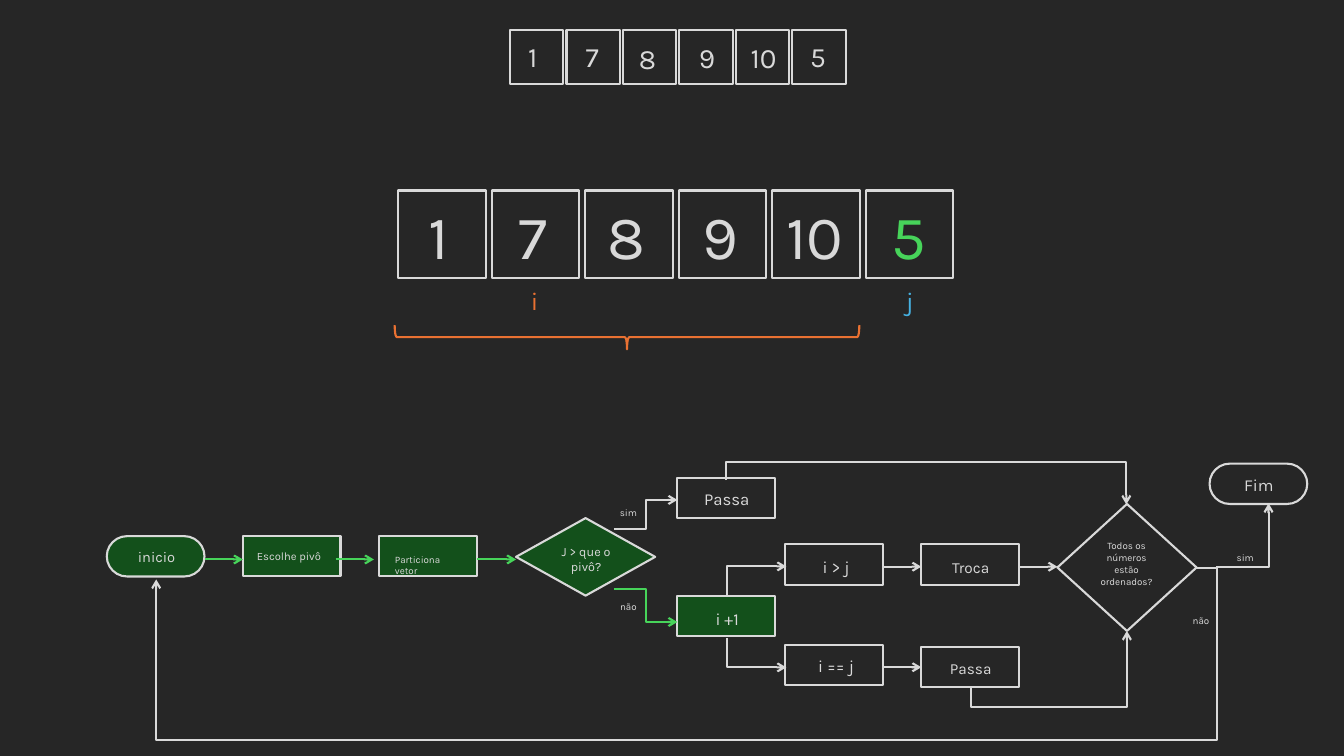
from dataclasses import dataclass

from lxml.etree import SubElement
from pptx import Presentation
from pptx.dml.color import RGBColor
from pptx.enum.shapes import MSO_CONNECTOR, MSO_SHAPE
from pptx.enum.text import MSO_AUTO_SIZE, PP_ALIGN
from pptx.oxml.ns import qn
from pptx.util import Pt


@dataclass(frozen=True)
class Theme:
    """Colours, font and sizes of the slide."""
    font: str = "Karla"
    background: RGBColor = RGBColor(0x26, 0x26, 0x26)
    light: RGBColor = RGBColor(0xD9, 0xD9, 0xD9)
    active: RGBColor = RGBColor(0x47, 0xD4, 0x5A)
    active_fill: RGBColor = RGBColor(0x13, 0x50, 0x1B)
    orange: RGBColor = RGBColor(0xE9, 0x71, 0x32)
    blue: RGBColor = RGBColor(0x46, 0xB1, 0xE1)
    line: float = 1.5
    large: float = 44
    medium: float = 20
    pointer: float = 18
    step: float = 12
    step_small: float = 11
    start: float = 10.5
    question: float = 9
    note: float = 8
    tiny: float = 7


def apply_format(target, values):
    """Set every attribute in values on target."""
    for name, value in values.items():
        setattr(target, name, value)


class Diagram:
    """Draws the elements of one slide in one theme."""

    def __init__(self, slide, theme):
        """Keep the slide and theme, and colour the background."""
        self.slide, self.theme = slide, theme
        slide.background.fill.solid()
        slide.background.fill.fore_color.rgb = theme.background

    def stroke(self, shape, color):
        """Give a shape or connector its line."""
        shape.line.color.rgb = color or self.theme.light
        shape.line.width = Pt(self.theme.line)

    def shape(self, kind, frame, fill=None, color=None, shapes=None, **values):
        """Add an outlined preset shape."""
        shape = (shapes or self.slide.shapes).add_shape(kind, *map(Pt, frame))
        shape.shadow.inherit = False
        if fill is None:
            shape.fill.background()
        else:
            shape.fill.solid()
            shape.fill.fore_color.rgb = fill
        self.stroke(shape, color)
        apply_format(shape, values)
        return shape

    def pill(self, frame, fill=None):
        """Add a fully rounded terminal."""
        self.shape(MSO_SHAPE.ROUNDED_RECTANGLE, frame, fill).adjustments[0] = 0.5

    def cells(self, count, left, top, side, pitch):
        """Add a grouped row of square array cells."""
        group = self.slide.shapes.add_group_shape()
        for index in range(count):
            frame = (left + index * pitch, top, side, side)
            self.shape(MSO_SHAPE.RECTANGLE, frame, shapes=group.shapes)

    def text(self, words, frame, size, color=None, align=PP_ALIGN.CENTER):
        """Add a text box of one paragraph."""
        box = self.slide.shapes.add_textbox(*map(Pt, frame))
        apply_format(box.text_frame, {
            "word_wrap": True, "auto_size": MSO_AUTO_SIZE.SHAPE_TO_FIT_TEXT})
        paragraph = box.text_frame.paragraphs[0]
        paragraph.alignment = align
        run = paragraph.add_run()
        run.text = words
        apply_format(run.font, {"name": self.theme.font, "size": Pt(size)})
        run.font.color.rgb = color or self.theme.light

    def arrow(self, begin, end, color=None, kind=MSO_CONNECTOR.STRAIGHT):
        """Add a connector with an arrowhead at its end."""
        connector = self.slide.shapes.add_connector(kind, *map(Pt, begin + end))
        self.stroke(connector, color)
        SubElement(connector.line._get_or_add_ln(), qn("a:tailEnd"), type="arrow")
        SubElement(connector.element.spPr, qn("a:effectLst"))
        return connector

    def elbow(self, frame, flip="", turn=0, bends=3, adjust=(), color=None):
        """Add a bent arrow inside a frame that is flipped, then turned."""
        left, top, width, height = frame
        begin, end = [left, top], [left + width, top + height]
        for axis, letter in enumerate("hv"):
            if letter in flip:
                begin[axis], end[axis] = end[axis], begin[axis]
        connector = self.arrow(begin, end, color, MSO_CONNECTOR.ELBOW)
        properties = connector.element.spPr
        properties.find(qn("a:xfrm")).set("rot", str(turn * 60000))
        geometry = properties.find(qn("a:prstGeom"))
        geometry.set("prst", f"bentConnector{bends}")
        guides = geometry.find(qn("a:avLst"))
        for number, share in enumerate(adjust, 1):
            SubElement(guides, qn("a:gd"), name=f"adj{number}",
                       fmla=f"val {round(share * 100000)}")


def draw_arrays(diagram):
    """Draw both arrays with the pointers and the brace."""
    theme = diagram.theme
    numbers = ["1", "7", "8", "9", "10", "5"]
    diagram.cells(len(numbers), 284.4, 136.1, 62.6, 66.8)
    diagram.cells(len(numbers), 364.3, 21.6, 38.2, 40.35)
    small_places = [(362.2, 24.5), (404.6, 24.5), (444.2, 25.9),
                    (486.7, 25.2), (527, 25.2), (565.9, 24.5)]
    for index, (number, place) in enumerate(zip(numbers, small_places)):
        color = theme.active if number == "5" else theme.light
        diagram.text(number, (282.2 + index * 67.1, 137.5, 62.6, 60.5),
                     theme.large, color)
        diagram.text(number, (*place, 36.7, 31.7), theme.medium)
    for name, left, color in [("i", 360.7, theme.orange), ("j", 628.6, theme.blue)]:
        diagram.text(name, (left, 200.2, 42.5, 28.8), theme.pointer, color)
    diagram.shape(MSO_SHAPE.RIGHT_BRACE, (439.2, 74.9, 17.3, 331.9),
                  color=theme.orange, rotation=90)


def draw_nodes(diagram):
    """Draw the flowchart nodes."""
    green = diagram.theme.active_fill
    step = (69.8, 28.8)
    for left, top, fill in [
            (173.5, 383, green), (270.7, 383, green), (483.8, 341.3, None),
            (483.8, 425.5, green), (560.9, 388.8, None), (560.9, 460.8, None),
            (658.1, 388.8, None), (658.1, 462.2, None)]:
        diagram.shape(MSO_SHAPE.RECTANGLE, (left, top, *step), fill)
    diagram.shape(MSO_SHAPE.DIAMOND, (368.6, 370.1, 99.4, 55.4), green)
    diagram.shape(MSO_SHAPE.DIAMOND, (755.3, 360, 99.4, 90.7))
    diagram.pill((76.3, 383, *step), green)
    diagram.pill((864, 331.2, *step))


def draw_arrows(diagram):
    """Draw the straight and bent arrows of the flowchart."""
    green = diagram.theme.active
    for left, right, height, color in [
            (146.2, 173.5, 399.6, green), (239.8, 267.1, 399.6, green),
            (340.6, 368.6, 399.6, green), (631.4, 658.1, 404.8, None),
            (728.6, 755.3, 404.8, None), (631.4, 658.1, 476.6, None)]:
        diagram.arrow((left, height), (right, height), color)
    diagram.elbow((438.5, 357.1, 45.4, 20.9), "v")
    diagram.elbow((438.5, 420.5, 45.4, 23.8), color=green)
    diagram.elbow((529.9, 393.8, 20.9, 42.5), "hv", 90, bends=2)
    diagram.elbow((529.9, 445, 20.9, 42.5), "h", 270, bends=2)
    diagram.elbow((653, 208.8, 17.3, 285.8), "h", 270, adjust=[-0.76])
    diagram.elbow((728.6, 415.4, 41, 111.6), "hv", 90, adjust=[-0.33])
    diagram.elbow((111.6, 405.4, 743, 8.47), "h", bends=4, adjust=[-0.02, 14.54])
    diagram.elbow((864.7, 363.6, 45.4, 37.4), "hv", 90, adjust=[0])


def draw_labels(diagram):
    """Write the words of the flowchart."""
    theme = diagram.theme
    for words, frame, size in [
            ("inicio", (91.4, 387.4, 41.8, 20.9), theme.start),
            ("Escolhe pivô", (176.4, 388.8, 63.4, 17.3), theme.note),
            ("Particiona vetor", (275, 391.7, 63.4, 15.8), theme.tiny)]:
        diagram.text(words, frame, size, align=PP_ALIGN.LEFT)
    for words, frame, size in [
            ("J > que o pivô?", (390.2, 385.2, 56.9, 28.8), theme.question),
            ("Passa", (493.9, 345.6, 50.4, 21.6), theme.step),
            ("i +1", (491, 431.3, 56.9, 21.6), theme.step),
            ("i > j", (568.8, 393.8, 56.9, 21.6), theme.step),
            ("i == j", (568.8, 465.1, 56.9, 21.6), theme.step),
            ("Troca", (668.2, 395.3, 50.4, 20.9), theme.step_small),
            ("Passa", (668.2, 467.3, 50.4, 20.9), theme.step_small),
            ("Todos os números estão ordenados?", (776.2, 382.3, 56.9, 41), theme.tiny),
            ("Fim", (874.1, 335.5, 50.4, 21.6), theme.step)]:
        diagram.text(words, frame, size)
    for words, left, top in [("sim", 432, 358.6), ("sim", 872.6, 390.2),
                             ("não", 432, 425.5), ("não", 841, 435.6)]:
        diagram.text(words, (left, top, 33.8, 15.8), theme.tiny)


def main():
    """Build and save the presentation."""
    presentation = Presentation()
    apply_format(presentation, {"slide_width": Pt(960), "slide_height": Pt(540)})
    slide = presentation.slides.add_slide(presentation.slide_layouts[6])
    diagram = Diagram(slide, Theme())
    for draw in (draw_arrays, draw_nodes, draw_arrows, draw_labels):
        draw(diagram)
    presentation.save("out.pptx")


if __name__ == "__main__":
    main()
